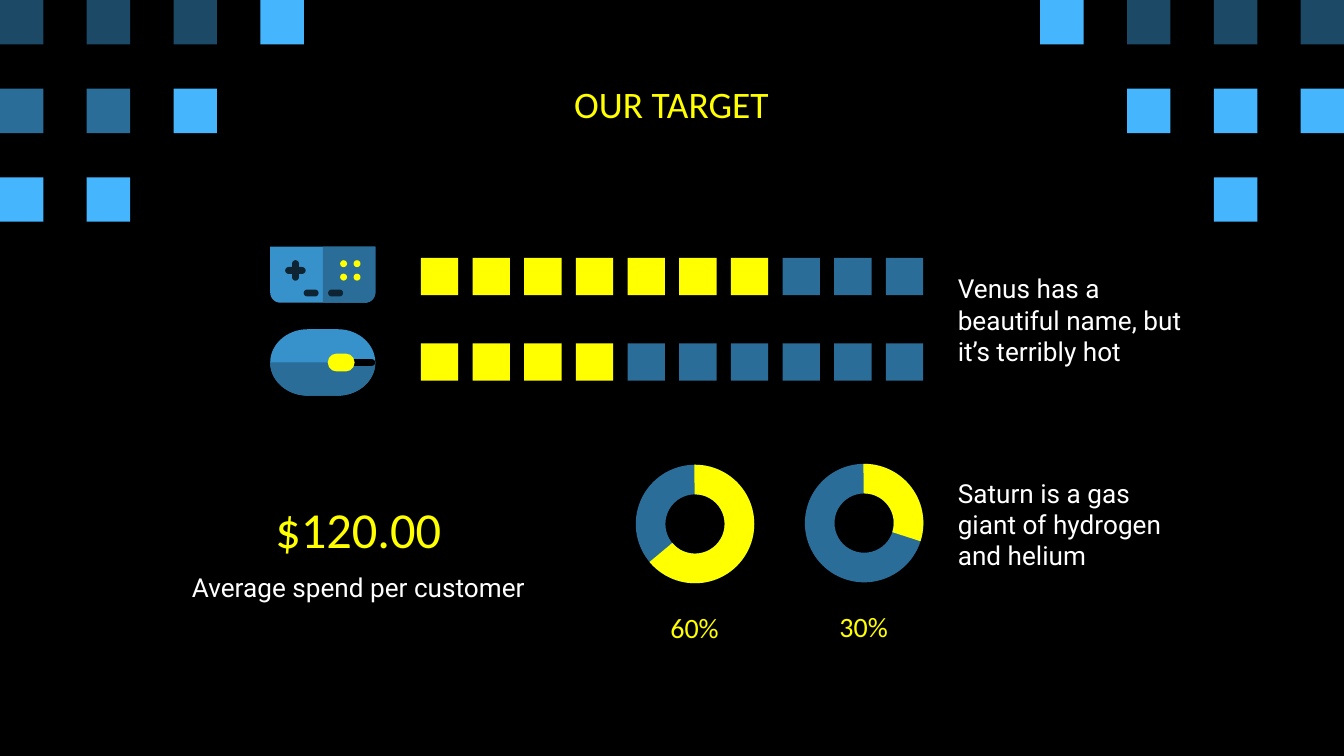
from math import cos, sin, radians

from pptx import Presentation
from pptx.dml.color import RGBColor as Rgb
from pptx.enum.shapes import MSO_SHAPE as Kind
from pptx.enum.text import MSO_ANCHOR as Anchor, MSO_AUTO_SIZE as Fit, PP_ALIGN as Align
from pptx.util import Pt

COLORS = {
    "black": "000000", "ink": "0E2433", "dark": "1C4966", "mid": "296D98",
    "blue": "3792CB", "light": "45B6FE", "yellow": "FFFF00", "white": "FFFFFF",
}
TONES = {"d": "dark", "m": "mid", "l": "light"}


def tint(name):
    """Return the named colour."""
    return Rgb.from_string(COLORS[name])


def paint(shape, color):
    """Give a shape a flat fill with no line or shadow."""
    shape.shadow.inherit = False
    shape.fill.solid()
    shape.fill.fore_color.rgb = tint(color)
    shape.line.fill.background()


def draw(slide, kind, box, color, adjust=()):
    """Add a flat preset shape."""
    shape = slide.shapes.add_shape(kind, *map(Pt, box))
    for i, value in enumerate(adjust):
        shape.adjustments[i] = value
    paint(shape, color)


def pill(slide, box, color):
    """Add a bar with fully round ends."""
    draw(slide, Kind.ROUNDED_RECTANGLE, box, color, [0.5])


def curve(slide, box, color, rx, ry, corners):
    """Add an outline whose listed corners are elliptic arcs."""
    x, y, w, h = box
    spots = {"se": (x + w, y + h, -1, -1, 0), "sw": (x, y + h, 1, -1, 90),
             "nw": (x, y, 1, 1, 180), "ne": (x + w, y, -1, 1, 270)}
    points = []
    for name, (cx, cy, dx, dy, start) in spots.items():
        if name not in corners:
            points.append((Pt(cx), Pt(cy)))
            continue
        for turn in range(start, start + 91, 6):
            angle = radians(turn)
            points.append((Pt(cx + rx * (dx + cos(angle))),
                           Pt(cy + ry * (dy + sin(angle)))))
    path = slide.shapes.build_freeform(*points[0])
    path.add_line_segments(points[1:], close=True)
    paint(path.convert_to_shape(), color)


def write(slide, text, box, shape=None, size=14, font="Roboto", color="white",
          align=Align.LEFT, anchor=Anchor.MIDDLE):
    """Place formatted text in a new text box or a given placeholder."""
    shape = shape or slide.shapes.add_textbox(*map(Pt, box))
    shape.left, shape.top, shape.width, shape.height = map(Pt, box)
    frame = shape.text_frame
    frame.word_wrap = True
    frame.auto_size = Fit.NONE
    frame.vertical_anchor = anchor
    frame.margin_left = frame.margin_right = Pt(7.2)
    frame.margin_top = frame.margin_bottom = Pt(7.2)
    para = frame.paragraphs[0]
    para.text = text
    para.alignment = align
    para.font.size = Pt(size)
    para.font.name = font
    para.font.color.rgb = tint(color)


def corner(slide, left, top, rows):
    """Draw a corner pattern of squares from rows of tone letters."""
    for j, row in enumerate(rows):
        for i, tone in enumerate(row):
            if tone in TONES:
                box = (left + 46.5 * i, top + 47.5 * j, 23.3, 23.8)
                draw(slide, Kind.RECTANGLE, box, TONES[tone])


def meter(slide, left, top, score):
    """Draw ten squares with the first ones lit."""
    for i in range(10):
        color = "yellow" if i < score else "mid"
        draw(slide, Kind.RECTANGLE, (left + 27.68 * i, top, 20, 20), color)


def ring(slide, left, top, end, label):
    """Draw a ring with a lit arc up to an end angle and a label below."""
    box = (left, top, 63.5, 63.5)
    draw(slide, Kind.DONUT, box, "mid", [0.25])
    draw(slide, Kind.BLOCK_ARC, box, "yellow", [269.32 * 0.6, end * 0.6, 0.25])
    write(slide, label, (left - 2, top + 71, 67, 22.3), size=15, font="Calibri",
          color="yellow", align=Align.CENTER, anchor=Anchor.TOP)


def console(slide, left, top, width, height):
    """Draw the game console icon."""
    half = width / 2
    curve(slide, (left, top, width, height), "blue", 5.5, 5.5, ("sw", "se"))
    curve(slide, (left + half, top, half, height), "mid", 5.5, 5.5, ("se",))
    for x in (37.4, 44.6):
        for y in (7.2, 14.4):
            draw(slide, Kind.OVAL, (left + x, top + y, 3.7, 3.7), "yellow")
    for x in (17.9, 31):
        pill(slide, (left + x, top + 22.9, 8, 3.7), "ink")
    pill(slide, (left + 8, top + 10.85, 11, 3.7), "ink")
    pill(slide, (left + 11.65, top + 7.2, 3.7, 11), "ink")


def mouse(slide, left, top, width, height):
    """Draw the computer mouse icon."""
    half = height / 2
    curve(slide, (left, top, width, height), "blue", 20.2, half,
          ("nw", "ne", "se", "sw"))
    curve(slide, (left, top + half, width, half), "mid", 20.2, half, ("se", "sw"))
    pill(slide, (left + 42.5, top + half - 1.8, 13.7, 3.6), "black")
    pill(slide, (left + 30.8, top + half - 4.8, 14.4, 9.6), "yellow")


def spend(slide, left, top, width):
    """Write the average spend with its caption."""
    write(slide, "$120.00", (left, top, width, 39), size=27, font="Calibri",
          color="yellow", align=Align.CENTER)
    write(slide, "Average spend per customer", (left, top + 39.6, width, 22.3),
          align=Align.CENTER)


def main():
    """Build and save the slide."""
    deck = Presentation()
    deck.slide_width, deck.slide_height = Pt(720), Pt(405)
    slide = deck.slides.add_slide(deck.slide_layouts[5])
    slide.background.fill.solid()
    slide.background.fill.fore_color.rgb = tint("black")

    corner(slide, 0, 0, ["dddl", "mml", "ll"])
    corner(slide, 557.3, 0, ["lddd", " lll", "  l"])
    write(slide, "OUR TARGET", (56.2, 42.5, 607, 26), shape=slide.shapes.title,
          size=20, font="Calibri", color="yellow", align=Align.CENTER)

    console(slide, 144.8, 132.2, 56.3, 30)
    meter(slide, 225.5, 138.2, 7)
    mouse(slide, 144.8, 176.4, 56.3, 35.6)
    meter(slide, 225.5, 184, 4)
    write(slide, "Venus has a beautiful name, but it’s terribly hot",
          (506, 138.2, 137, 66.2))

    spend(slide, 83.5, 263.5, 217)
    ring(slide, 340.6, 249, 140.08, "60%")
    ring(slide, 431.2, 248.5, 17.86, "30%")
    write(slide, "Saturn is a gas giant of hydrogen and helium",
          (506, 259.2, 137, 43.2))
    deck.save("out.pptx")


if __name__ == "__main__":
    main()
